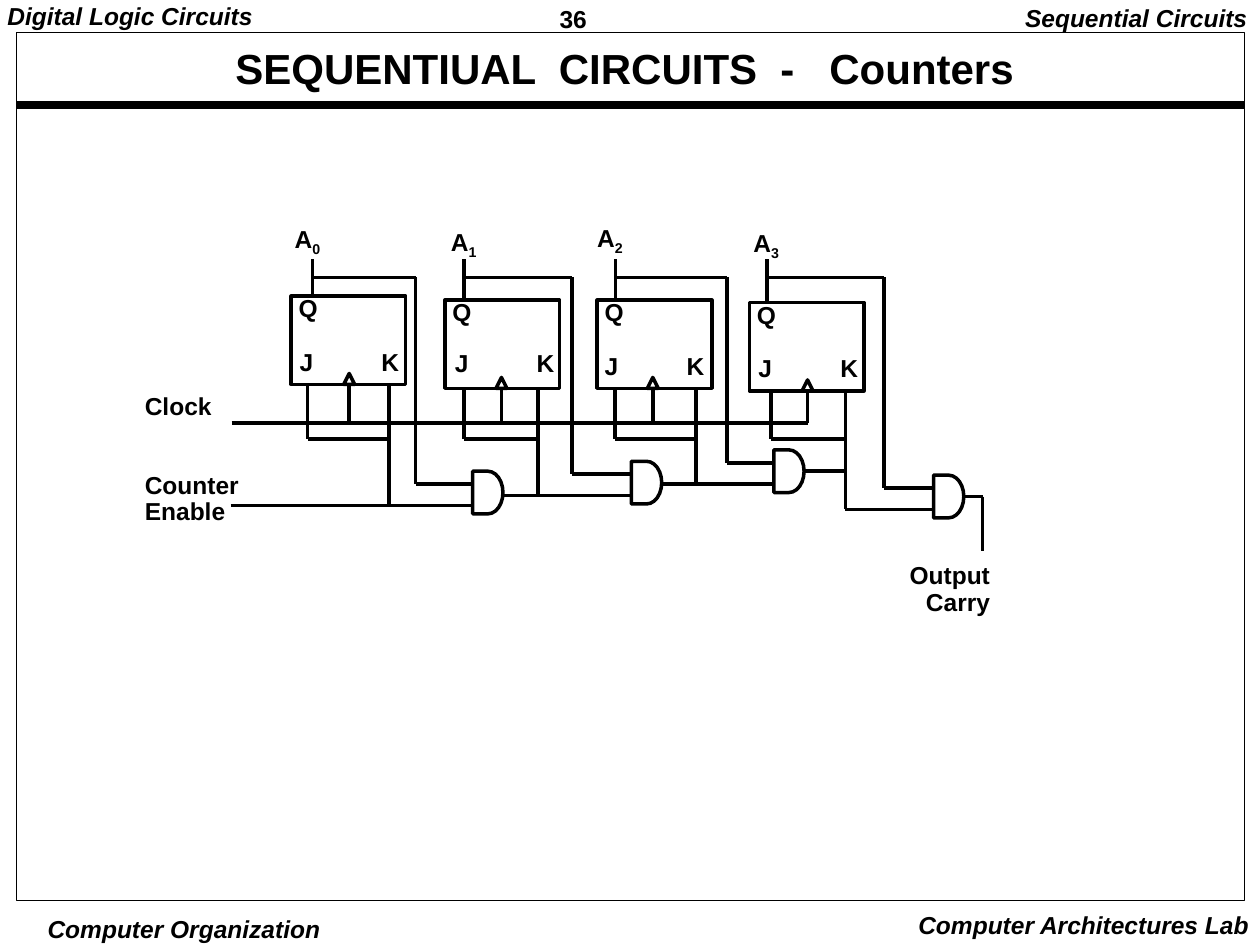
from dataclasses import dataclass

from lxml import etree
from pptx import Presentation
from pptx.dml.color import RGBColor
from pptx.enum.shapes import MSO_CONNECTOR, MSO_SHAPE
from pptx.enum.text import MSO_AUTO_SIZE, PP_ALIGN
from pptx.oxml.ns import qn
from pptx.util import Cm, Pt

LEFT, CENTER, RIGHT = PP_ALIGN.LEFT, PP_ALIGN.CENTER, PP_ALIGN.RIGHT
RECTANGLE, TRIANGLE = MSO_SHAPE.RECTANGLE, MSO_SHAPE.ISOSCELES_TRIANGLE
AND_GATE = MSO_SHAPE.FLOWCHART_DELAY
STRAIGHT = MSO_CONNECTOR.STRAIGHT
FIT_TEXT = MSO_AUTO_SIZE.SHAPE_TO_FIT_TEXT


@dataclass(frozen=True)
class Theme:
    ink: RGBColor = RGBColor(0, 0, 0)
    font: str = "Arial"
    body: float = 14
    title: float = 24
    wire: float = 2
    frame: float = 0.5
    rule: float = 4.5


THEME = Theme()


@dataclass(frozen=True)
class Label:
    left: float
    top: float
    width: float
    height: float
    lines: tuple[str, ...]
    align: PP_ALIGN = LEFT
    italic: bool = False
    size: float = THEME.body
    spacing: float = 0.9
    inset: tuple[float, float] = (0.25, 0.13)
    gap_before: tuple[float, ...] = ()
    subscript: str = ""
    tab: float = 0
    wrap: bool = False


@dataclass(frozen=True)
class Stage:
    box: tuple[float, float]
    output_label: tuple[float, float]
    input_label: tuple[float, float]
    q: float
    j: float
    clock: float
    k: float
    feedback: float
    gate: tuple[float, float]
    enable_from: float


BOX_WIDTH, BOX_HEIGHT = 2.31, 1.78
GATE_WIDTH, GATE_HEIGHT = 0.61, 0.86
UPPER_INPUT, LOWER_INPUT = 0.26, 0.69
CLOCK_MARK = 0.22
OUTPUT_TOP, FEEDBACK_Y, CLOCK_Y, JK_LOOP_Y = 5.22, 5.59, 8.53, 8.85
CLOCK_START = 4.67
CARRY_X, CARRY_BOTTOM = 19.81, 11.1

STAGES = (
    Stage((5.87, 5.97), (5.69, 4.39), (5.79, 6.93), 6.3, 6.2, 7.04, 7.84, 8.38, (9.53, 9.5), 4.65),
    Stage((8.97, 6.05), (8.84, 4.45), (8.92, 6.96), 9.35, 9.35, 10.11, 10.85, 11.53, (12.73, 9.3), 10.14),
    Stage((12.04, 6.05), (11.79, 4.37), (11.94, 7.01), 12.41, 12.4, 13.16, 14.03, 14.66, (15.6, 9.07), 13.34),
    Stage((15.11, 6.1), (14.94, 4.47), (15.04, 7.06), 15.46, 15.54, 16.28, 17.04, 17.82, (18.82, 9.58), 17.04),
)

LABELS = (
    Label(11.1, 0, 2.74, 0.74, ("36",), spacing=1.0, inset=(0.18, 0.08)),
    Label(-0.03, 0, 5.8, 0.74, ("Digital Logic Circuits",), italic=True, inset=(0.18, 0.08), wrap=True),
    Label(19.9, 0, 5.5, 0.79, ("Sequential Circuits",), RIGHT, True, wrap=True),
    Label(0.56, 18.39, 6.3, 0.66, ("Computer Organization",), CENTER, True, spacing=1.0,
          inset=(0.08, 0.03), wrap=True),
    Label(17.83, 18.21, 7.6, 0.84, ("Computer Architectures Lab",), RIGHT, True, spacing=1.0, wrap=True),
    Label(0.76, 0.89, 23.67, 1.07, ("SEQUENTIUAL  CIRCUITS  -   Counters",), CENTER,
          size=THEME.title, inset=(0.18, 0.08), wrap=True),
    Label(2.67, 7.82, 2.41, 2.92, ("Clock", "Counter", "Enable"), gap_before=(0, 30, 0)),
    Label(18.08, 11.23, 2.13, 1.32, ("Output", "Carry"), RIGHT),
)


def add_label(slide, label: Label) -> None:
    box = slide.shapes.add_textbox(Cm(label.left), Cm(label.top), Cm(label.width), Cm(label.height))
    frame = box.text_frame
    frame.word_wrap = label.wrap
    frame.auto_size = FIT_TEXT
    frame.margin_left = frame.margin_right = Cm(label.inset[0])
    frame.margin_top = frame.margin_bottom = Cm(label.inset[1])
    for index, line in enumerate(label.lines):
        paragraph = frame.paragraphs[0] if index == 0 else frame.add_paragraph()
        paragraph.alignment = label.align
        paragraph.line_spacing = label.spacing
        if label.gap_before:
            paragraph.space_before = Pt(label.gap_before[index])
        if label.tab:
            tabs = etree.SubElement(paragraph._p.get_or_add_pPr(), qn("a:tabLst"))
            etree.SubElement(tabs, qn("a:tab"), pos=str(Cm(label.tab)), algn="l")
        for text in filter(None, (line, label.subscript)):
            run = paragraph.add_run()
            run.text = text
            run.font.name = THEME.font
            run.font.size = Pt(label.size)
            run.font.bold = True
            run.font.italic = label.italic
            run.font.color.rgb = THEME.ink
            if text == label.subscript:
                run.font._element.set("baseline", "-25000")


def add_outline(slide, kind: MSO_SHAPE, left: float, top: float, width: float, height: float,
                weight: float = THEME.wire) -> None:
    outline = slide.shapes.add_shape(kind, Cm(left), Cm(top), Cm(width), Cm(height))
    outline.shadow.inherit = False
    outline.fill.background()
    outline.line.color.rgb = THEME.ink
    outline.line.width = Pt(weight)


def add_wire(slide, *points: tuple[float, float], weight: float = THEME.wire) -> None:
    for (x1, y1), (x2, y2) in zip(points, points[1:]):
        wire = slide.shapes.add_connector(STRAIGHT, Cm(x1), Cm(y1), Cm(x2), Cm(y2))
        wire.line.color.rgb = THEME.ink
        wire.line.width = Pt(weight)
        etree.SubElement(wire._element.spPr, qn("a:effectLst"))


def add_stage(slide, number: int, stage: Stage) -> None:
    left, top = stage.box
    bottom = top + BOX_HEIGHT
    gate_left, gate_top = stage.gate
    upper, lower = gate_top + UPPER_INPUT, gate_top + LOWER_INPUT

    add_outline(slide, RECTANGLE, left, top, BOX_WIDTH, BOX_HEIGHT)
    add_outline(slide, TRIANGLE, stage.clock - CLOCK_MARK / 2, bottom - CLOCK_MARK, CLOCK_MARK, CLOCK_MARK)
    add_label(slide, Label(*stage.output_label, 1.02, 0.86, ("A",), subscript=str(number)))
    add_label(slide, Label(left - 0.1, top - 0.12, 0.89, 0.79, ("Q",)))
    add_label(slide, Label(*stage.input_label, 2.51, 0.79, ("J\tK",), tab=1.65))

    add_wire(slide, (stage.q, top), (stage.q, OUTPUT_TOP))
    add_wire(slide, (stage.q, FEEDBACK_Y), (stage.feedback, FEEDBACK_Y),
             (stage.feedback, upper), (gate_left, upper))
    add_wire(slide, (stage.clock, bottom), (stage.clock, CLOCK_Y))
    add_wire(slide, (stage.j, bottom), (stage.j, JK_LOOP_Y), (stage.k, JK_LOOP_Y))
    add_wire(slide, (stage.k, bottom), (stage.k, lower))
    add_wire(slide, (stage.enable_from, lower), (gate_left, lower))
    add_outline(slide, AND_GATE, gate_left, gate_top, GATE_WIDTH, GATE_HEIGHT)


def gate_output(stage: Stage) -> tuple[float, float]:
    left, top = stage.gate
    return left + GATE_WIDTH, top + GATE_HEIGHT / 2


def main() -> None:
    deck = Presentation()
    deck.slide_width, deck.slide_height = Cm(25.4), Cm(19.05)
    slide = deck.slides.add_slide(deck.slide_layouts[6])

    add_wire(slide, (0.33, 2.11), (25.07, 2.11), weight=THEME.rule)
    add_outline(slide, RECTANGLE, 0.33, 0.66, 24.76, 17.5, THEME.frame)
    for label in LABELS:
        add_label(slide, label)
    for number, stage in enumerate(STAGES):
        add_stage(slide, number, stage)

    third, last = STAGES[-2:]
    add_wire(slide, (CLOCK_START, CLOCK_Y), (last.clock, CLOCK_Y))
    third_out, carry = gate_output(third), gate_output(last)
    add_wire(slide, third_out, (last.k, third_out[1]))
    add_wire(slide, carry, (CARRY_X, carry[1]), (CARRY_X, CARRY_BOTTOM))

    deck.save("out.pptx")


if __name__ == "__main__":
    main()
